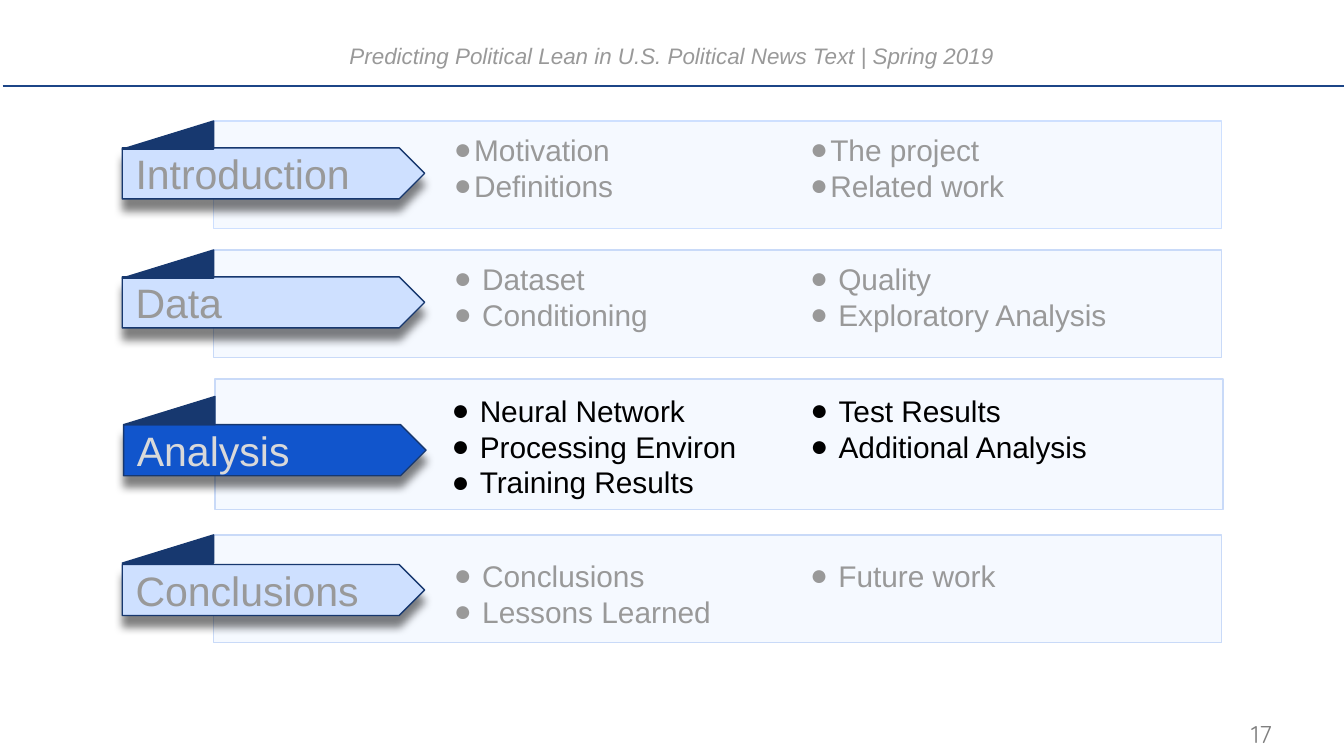
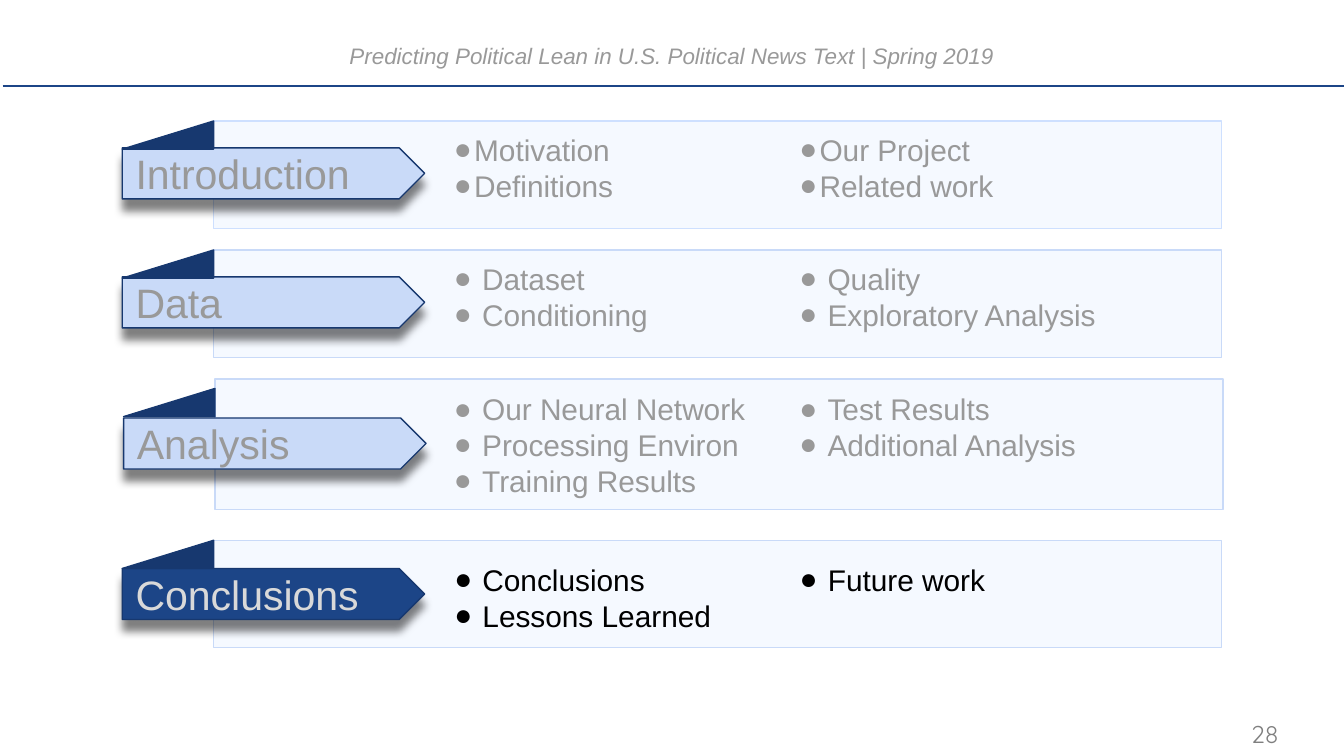
from dataclasses import dataclass

from pptx import Presentation
from pptx import util as u
from pptx.dml.color import RGBColor
from pptx.enum import shapes, text
from pptx.oxml.xmlchemy import OxmlElement

HEADER = "Predicting Political Lean in U.S. Political News Text | Spring 2019"


@dataclass
class Section:
    name: str
    lists: tuple
    top: int
    height: int = 80
    shift: int = 0            # sideways offset of panel and ribbon
    fold_drop: int = 0        # the drops are measured from the panel top
    ribbon_drop: int = 20
    list_drop: int = 8
    list_shifts: tuple = (0, 0)
    list_widths: tuple = (250, 250)
    list_heights: tuple = (56, 56)
    hanging: int = 21
    edge: str = "C9DAF8"


def opening_sections(project):
    return [
        Section("Introduction",
                (["Motivation", "Definitions"], [project, "Related work"]),
                top=90, hanging=15, edge="CEE0FF"),
        Section("Data",
                (["Dataset", "Conditioning"], ["Quality", "Exploratory Analysis"]),
                top=186),
    ]


def analysis_section(network, **layout):
    lists = ([network, "Processing Environ", "Training Results"],
             ["Test Results", "Additional Analysis"])
    return Section("Analysis", lists, top=282, height=97, shift=1, **layout)


def conclusions_section(**layout):
    lists = (["Conclusions", "Lessons Learned"], ["Future work"])
    return Section("Conclusions", lists, **layout)


AGENDAS = [
    dict(number="17", active="Analysis", columns=(328, 593),
         idle_fill="CEE0FF", active_fill="1155CC",
         sections=opening_sections("The project") + [
             analysis_section("Neural Network", fold_drop=13, ribbon_drop=34,
                              list_drop=10, list_shifts=(-2, 0),
                              list_widths=(274, 308)),
             conclusions_section(top=398, ribbon_drop=22, list_drop=17)]),
    dict(number="28", active="Conclusions", columns=(328, 585),
         idle_fill="C9DAF8", active_fill="1C4587",
         sections=opening_sections("Our Project") + [
             analysis_section("Our Neural Network", fold_drop=7, ribbon_drop=29,
                              list_drop=9, list_widths=(250, 283),
                              list_heights=(80, 56)),
             conclusions_section(top=402, ribbon_drop=21, list_drop=16,
                                 list_widths=(273, 250))]),
]


class Theme:
    panel, navy, rule = "CEE0FF", "17386F", "1C4587"
    line_width = u.Pt(0.75)
    header = dict(size=u.Pt(12), name="Arial", italic=True, bold=False, color="999999")
    number = dict(size=u.Pt(13), name="Quicksand", color="7F7F7F")
    ribbon = dict(size=u.Pt(22), name="Arial", color="999999")
    ribbon_active = {**ribbon, "color": "D9D9D9"}
    item = dict(size=u.Pt(16), name="Arial", color="999999")
    item_active = {**item, "color": "000000"}


PX = 9144  # EMU, 100 px to the inch
SLIDE_WIDTH = 1000
PANEL_LEFT, PANEL_WIDTH = 159, 750
FOLD_WIDTH, FOLD_HEIGHT = 68, 21
RIBBON_WIDTH, RIBBON_HEIGHT = 225, 38
BULLET_INDENT = -26


def px(*lengths):
    return [u.Emu(length * PX) for length in lengths]


def place(box, *bounds):
    for side, value in zip(("left", "top", "width", "height"), px(*bounds)):
        setattr(box, side, value)


def set_frame(box, insets, anchor=text.MSO_ANCHOR.TOP):
    frame = box.text_frame
    settings = dict(zip(("margin_left", "margin_top", "margin_right", "margin_bottom"),
                        px(*insets)),
                    word_wrap=True, auto_size=text.MSO_AUTO_SIZE.NONE,
                    vertical_anchor=anchor)
    for key, value in settings.items():
        setattr(frame, key, value)
    return frame


def write(paragraph, words, style, align=text.PP_ALIGN.LEFT):
    paragraph.alignment = align
    run = paragraph.add_run()
    run.text = words
    for key, value in style.items():
        if key == "color":
            run.font.color.rgb = RGBColor.from_string(value)
        else:
            setattr(run.font, key, value)


def add_node(parent, tag, **attributes):
    node = OxmlElement(tag)
    for key, value in attributes.items():
        node.set(key, str(value))
    parent.append(node)
    return node


def add_outlined(slide, kind, bounds, fill, edge):
    shape = slide.shapes.add_shape(kind, *px(*bounds))
    shape.shadow.inherit = False
    shape.fill.solid()
    shape.fill.fore_color.rgb = RGBColor.from_string(fill)
    shape.line.color.rgb = RGBColor.from_string(edge)
    shape.line.width = Theme.line_width
    return shape


def add_panel(slide, section, left):
    panel = add_outlined(slide, shapes.MSO_SHAPE.RECTANGLE,
                         (left, section.top, PANEL_WIDTH, section.height),
                         Theme.panel, section.edge)
    tint = panel.element.spPr.find("{*}solidFill/{*}srgbClr")
    add_node(tint, "a:alpha", val=19000)


def add_ribbon(slide, section, panel_left, fill, style):
    left = panel_left - FOLD_WIDTH
    ribbon = add_outlined(slide, shapes.MSO_SHAPE.PENTAGON,
                          (left, section.top + section.ribbon_drop,
                           RIBBON_WIDTH, RIBBON_HEIGHT), fill, Theme.navy)
    effects = ribbon.element.spPr.find("{*}effectLst")
    shadow = add_node(effects, "a:outerShdw", blurRad=u.Pt(4.5), dist=u.Pt(6),
                      dir=5400000, algn="bl", rotWithShape=0)
    add_node(add_node(shadow, "a:srgbClr", val="000000"), "a:alpha", val=50000)
    frame = set_frame(ribbon, (10, 10, 10, 10), text.MSO_ANCHOR.MIDDLE)
    write(frame.paragraphs[0], section.name, style)
    fold = add_outlined(slide, shapes.MSO_SHAPE.RIGHT_TRIANGLE,
                        (left, section.top + section.fold_drop,
                         FOLD_WIDTH, FOLD_HEIGHT), Theme.navy, Theme.navy)
    fold.element.spPr.find("{*}xfrm").set("flipH", "1")


def fill_list(box, items, hanging, style):
    frame = set_frame(box, (10, 0, 10, 0))
    for index, item in enumerate(items):
        paragraph = frame.add_paragraph() if index else frame.paragraphs[0]
        layout = paragraph._p.get_or_add_pPr()
        layout.set("marL", str(hanging * PX))
        layout.set("indent", str(BULLET_INDENT * PX))
        add_node(add_node(layout, "a:buClr"), "a:srgbClr", val=style["color"])
        add_node(layout, "a:buFont", typeface="Arial")
        add_node(layout, "a:buChar", char="●")
        paragraph.space_before = u.Pt(0)
        write(paragraph, item, style)


def add_section(slide, section, agenda):
    active = section.name == agenda["active"]
    left = PANEL_LEFT + section.shift
    add_panel(slide, section, left)
    add_ribbon(slide, section, left,
               agenda["active_fill" if active else "idle_fill"],
               Theme.ribbon_active if active else Theme.ribbon)
    for column, items in enumerate(section.lists):
        bounds = (agenda["columns"][column] + section.list_shifts[column],
                  section.top + section.list_drop,
                  section.list_widths[column], section.list_heights[column])
        if active:
            box = slide.placeholders[column + 1]
            place(box, *bounds)
            box.element.getparent().append(box.element)  # in front of the panel
        else:
            box = slide.shapes.add_textbox(*px(*bounds))
        fill_list(box, items, section.hanging,
                  Theme.item_active if active else Theme.item)


def add_header_and_number(slide, number):
    header = slide.shapes.title
    place(header, 0, 20, SLIDE_WIDTH, 36)
    paragraph = set_frame(header, (10, 10, 10, 10)).paragraphs[0]
    paragraph.line_spacing = 1.08
    write(paragraph, HEADER, Theme.header, text.PP_ALIGN.CENTER)

    rule = slide.shapes.add_connector(shapes.MSO_CONNECTOR.STRAIGHT,
                                      *px(2, 64, 1001, 64))
    rule.line.color.rgb = RGBColor.from_string(Theme.rule)
    rule.line.width = Theme.line_width
    add_node(rule.element.spPr, "a:effectLst")

    page = slide.shapes.add_textbox(*px(928, 531, 61, 30))
    frame = set_frame(page, (3, 5, 5, 5), text.MSO_ANCHOR.MIDDLE)
    write(frame.paragraphs[0], number, Theme.number)


def main():
    deck = Presentation()
    deck.slide_width = u.Emu(SLIDE_WIDTH * PX)
    deck.slide_height = u.Emu(deck.slide_width * 9 // 16)
    two_content = deck.slide_layouts[3]
    for agenda in AGENDAS:
        slide = deck.slides.add_slide(two_content)
        add_header_and_number(slide, agenda["number"])
        for section in agenda["sections"]:
            add_section(slide, section, agenda)
    deck.save("out.pptx")


if __name__ == "__main__":
    main()
